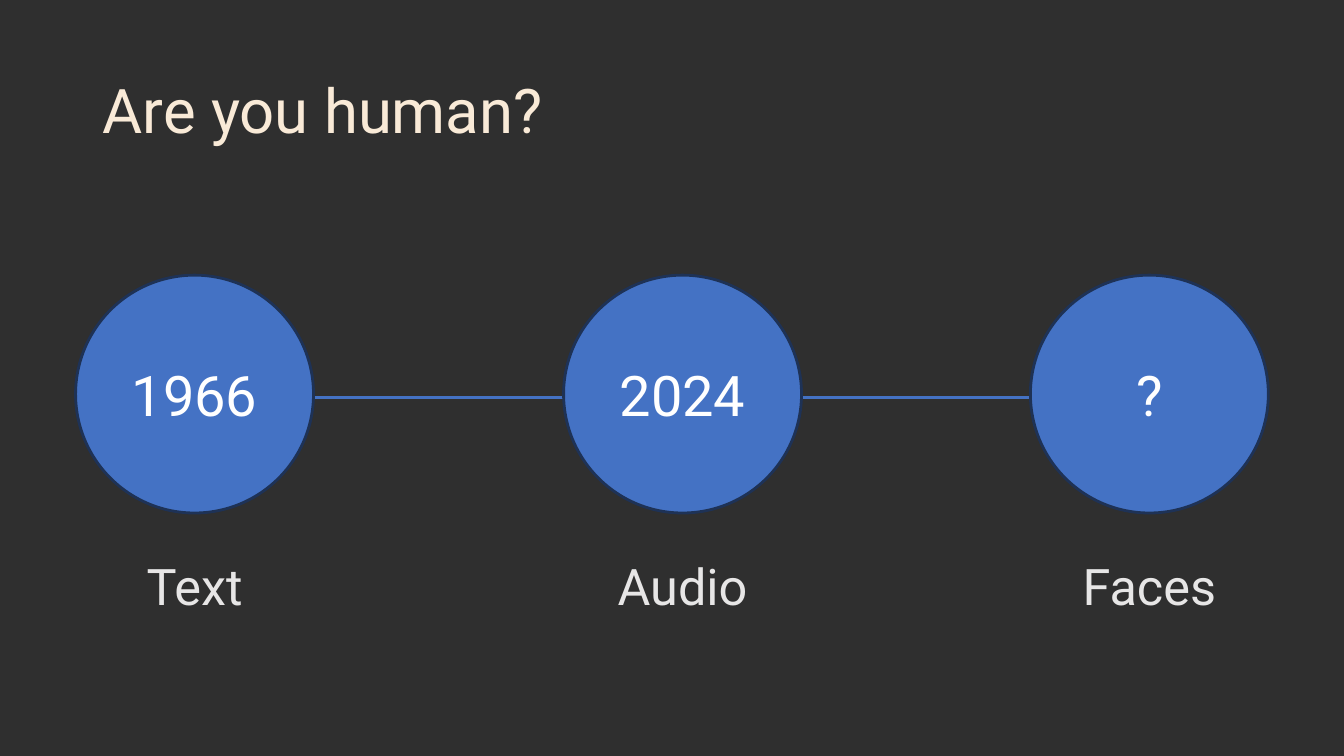
from lxml import etree
from pptx import Presentation
from pptx.dml.color import RGBColor
from pptx.enum import shapes, text
from pptx.oxml import ns
from pptx.util import Inches, Pt

COLORS = {
    "back": "2F2F2F",
    "title": "F9EAD7",
    "blue": "4472C4",
    "edge": "1E3256",
    "year": "FFFFFF",
    "label": "E7E6E6",
}


def color(name):
    return RGBColor.from_string(COLORS[name])


def write(shape, words, size, name, align, anchor):
    frame = shape.text_frame
    frame.word_wrap = True
    frame.vertical_anchor = anchor
    frame.text = words
    par = frame.paragraphs[0]
    par.alignment = align
    font = par.runs[0].font
    font.name = "Roboto"
    font.size = Pt(size)
    font.color.rgb = color(name)
    return par


deck = Presentation()
deck.slide_width = Inches(13.33)
deck.slide_height = Inches(7.5)
slide = deck.slides.add_slide(deck.slide_layouts[6])
slide.background.fill.solid()
slide.background.fill.fore_color.rgb = color("back")
items = slide.shapes

left, center = text.PP_ALIGN.LEFT, text.PP_ALIGN.CENTER
top, middle = text.MSO_ANCHOR.TOP, text.MSO_ANCHOR.MIDDLE

title = items.add_textbox(Inches(0.92), Inches(0.4), Inches(11.5), Inches(1.45))
write(title, "Are you human?", 44, "title", left, middle).line_spacing = 0.9

# Timeline, running behind the circles
line = items.add_connector(shapes.MSO_CONNECTOR.STRAIGHT,
                           Inches(0.92), Inches(3.94), Inches(11.25), Inches(3.94))
line.line.color.rgb = color("blue")
line.line.width = Pt(2)
etree.SubElement(line.line._get_or_add_ln(), ns.qn("a:tailEnd"), type="triangle")
etree.SubElement(line._element.spPr, ns.qn("a:effectLst"))

# Each stop: centre, year, label
stops = [(1.93, "1966", "Text"), (6.77, "2024", "Audio"), (11.4, "?", "Faces")]
size, width = 2.36, 3.22
for mid, year, label in stops:
    disc = items.add_shape(shapes.MSO_SHAPE.OVAL, Inches(mid - size / 2), Inches(2.73),
                           Inches(size), Inches(size))
    disc.shadow.inherit = False
    disc.fill.solid()
    disc.fill.fore_color.rgb = color("blue")
    disc.line.color.rgb = color("edge")
    disc.line.width = Pt(2)
    write(disc, year, 40, "year", center, middle)

    box = items.add_textbox(Inches(mid - width / 2), Inches(5.46),
                            Inches(width), Inches(0.71))
    write(box, label, 36, "label", center, top)

deck.save("out.pptx")
